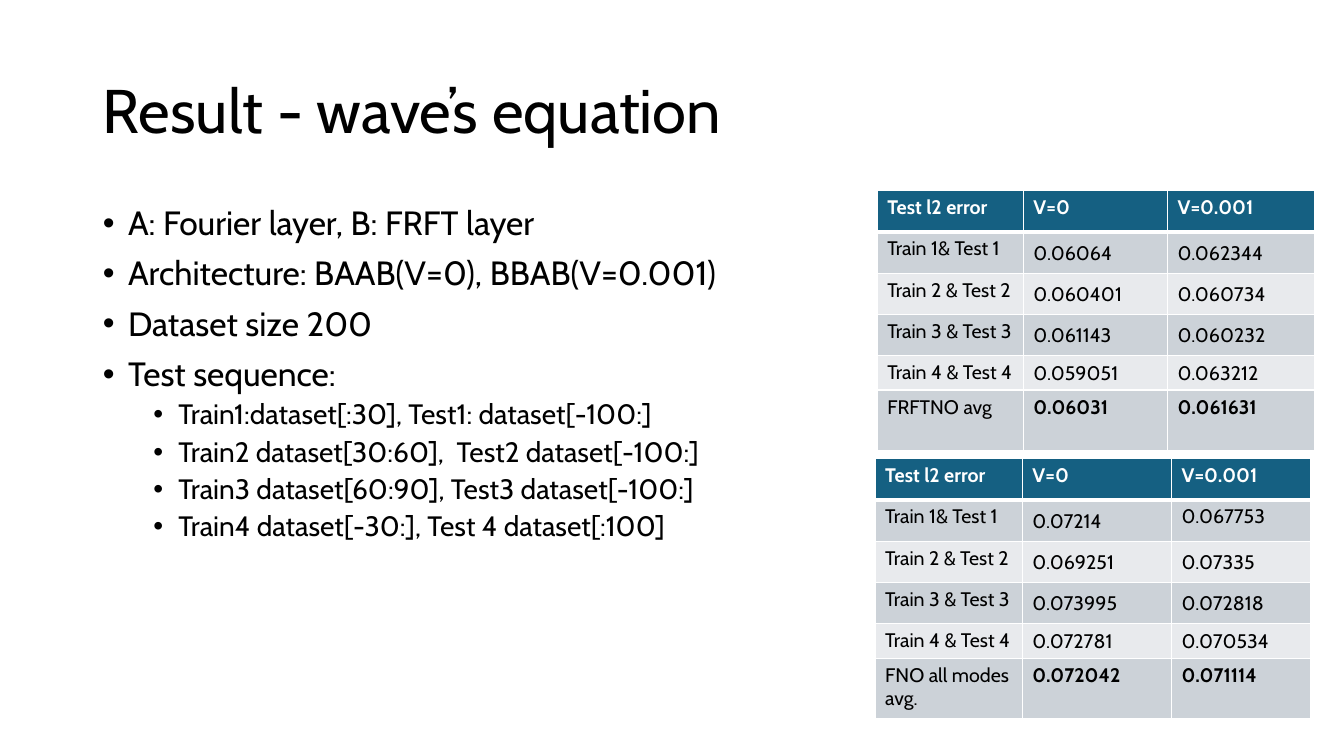
import pptx
import pptx.dml.color
import pptx.enum.text
import pptx.oxml
import pptx.oxml.ns
import pptx.util
import lxml.etree

Inches = pptx.util.Inches
Pt = pptx.util.Pt
Anchor = pptx.enum.text.MSO_ANCHOR

COLORS = {"ink": "000000", "paper": "FFFFFF", "header": "156082",
          "band_dark": "CCD2D8", "band_light": "E8EAED"}
ROW_HEIGHTS = [0.41, 0.41, 0.41, 0.41, 0.34, 0.6]

BULLETS = [
    (0, "A: Fourier layer, B: FRFT layer"),
    (0, "Architecture: BAAB(V=0), BBAB(V=0.001)"),
    (0, "Dataset size 200"),
    (0, "Test sequence:"),
    (1, "Train1:dataset[:30], Test1: dataset[-100:]"),
    (1, "Train2 dataset[30:60],  Test2 dataset[-100:]"),
    (1, "Train3 dataset[60:90], Test3 dataset[-100:]"),
    (1, "Train4 dataset[-30:], Test 4 dataset[:100]"),
]
HEADER = ("Test l2 error", "V=0", "V=0.001")
FRFTNO_ERRORS = [
    HEADER,
    ("Train 1& Test 1", "0.06064", "0.062344"),
    ("Train 2 & Test 2", "0.060401", "0.060734"),
    ("Train 3 & Test 3", "0.061143", "0.060232"),
    ("Train 4 & Test 4", "0.059051", "0.063212"),
    ("FRFTNO avg", "0.06031", "0.061631"),
]
FNO_ERRORS = [
    HEADER,
    ("Train 1& Test 1", "0.07214", "0.067753"),
    ("Train 2 & Test 2", "0.069251", "0.07335"),
    ("Train 3 & Test 3", "0.073995", "0.072818"),
    ("Train 4 & Test 4", "0.072781", "0.070534"),
    ("FNO all modes avg.", "0.072042", "0.071114"),
]


def rgb(name):
    return pptx.dml.color.RGBColor.from_string(COLORS[name])


class SlideBuilder:
    font_name = "Cabin"

    def __init__(self, deck):
        self.page = deck.slides.add_slide(deck.slide_layouts[1])

    def style(self, para, size, color="ink", bold=False):
        for span in para.runs:
            span.font.name = self.font_name
            span.font.size = Pt(size)
            span.font.bold = bold
            span.font.color.rgb = rgb(color)

    def place(self, box, left, top, width, height, anchor):
        box.left, box.top = Inches(left), Inches(top)
        box.width, box.height = Inches(width), Inches(height)
        box.text_frame.word_wrap = True
        box.text_frame.auto_size = pptx.enum.text.MSO_AUTO_SIZE.NONE
        box.text_frame.vertical_anchor = anchor

    def title(self, text):
        box = self.page.shapes.title
        self.place(box, 0.92, 0.4, 11.5, 1.45, Anchor.MIDDLE)
        box.text_frame.text = text
        para = box.text_frame.paragraphs[0]
        para.alignment = pptx.enum.text.PP_ALIGN.LEFT
        para.line_spacing = 0.9
        self.style(para, 44)

    def bullets(self, items):
        box = self.page.placeholders[1]
        self.place(box, 0.92, 2, 11.5, 4.76, Anchor.TOP)
        frame = box.text_frame
        for index, (level, text) in enumerate(items):
            para = frame.add_paragraph() if index else frame.paragraphs[0]
            para.text = text
            para.level = level
            para.line_spacing = 0.9
            para.space_before = Pt((5 if level else 10) if index else 0)
            properties = para._p.get_or_add_pPr()
            properties.set("marL", str(Inches(0.25 + 0.5 * level)))
            properties.set("indent", str(Inches(-0.25)))
            for tag, key, value in (("a:buFont", "typeface", "Arial"), ("a:buChar", "char", "•")):
                lxml.etree.SubElement(properties, pptx.oxml.ns.qn(tag)).set(key, value)
            self.style(para, 20 if level else 24)

    def borders(self, cell, bottom):
        properties = cell._tc.get_or_add_tcPr()
        for side, width in (("L", 1), ("R", 1), ("T", 1), ("B", bottom)):
            properties.append(pptx.oxml.parse_xml(
                f'<a:ln{side} {pptx.oxml.ns.nsdecls("a")} w="{Pt(width)}"><a:solidFill>'
                f'<a:srgbClr val="{COLORS["paper"]}"/></a:solidFill></a:ln{side}>'))

    def table(self, left, top, widths, rows, top_cells=()):
        frame = self.page.shapes.add_table(
            len(rows), len(widths), Inches(left), Inches(top),
            Inches(sum(widths)), Inches(sum(ROW_HEIGHTS)))
        grid = frame.table
        for column, width in zip(grid.columns, widths):
            column.width = Inches(width)
        last = len(rows) - 1
        for r, (row, height) in enumerate(zip(rows, ROW_HEIGHTS)):
            grid.rows[r].height = Inches(height)
            fill = "header" if r == 0 else "band_dark" if r % 2 else "band_light"
            for c, text in enumerate(row):
                cell = grid.cell(r, c)
                self.borders(cell, 1 if r else 3)
                cell.fill.solid()
                cell.fill.fore_color.rgb = rgb(fill)
                if 0 < r < last and c and (r, c) not in top_cells:
                    cell.vertical_anchor = Anchor.MIDDLE
                    cell.margin_left = Inches(0.1)
                    cell.margin_right = cell.margin_top = Inches(0.01)
                    cell.margin_bottom = 0
                cell.text_frame.text = text
                self.style(cell.text_frame.paragraphs[0], 14,
                           "ink" if r else "paper", r == 0 or (r == last and c > 0))


def main():
    deck = pptx.Presentation()
    deck.slide_width, deck.slide_height = Inches(13.33), Inches(7.5)
    slide = SlideBuilder(deck)
    slide.title("Result - wave’s equation")
    slide.bullets(BULLETS)
    slide.table(8.7, 1.89, [1.45, 1.43, 1.46], FRFTNO_ERRORS)
    slide.table(8.68, 4.55, [1.46, 1.48, 1.38], FNO_ERRORS, top_cells={(1, 2)})
    deck.save("out.pptx")


if __name__ == "__main__":
    main()
